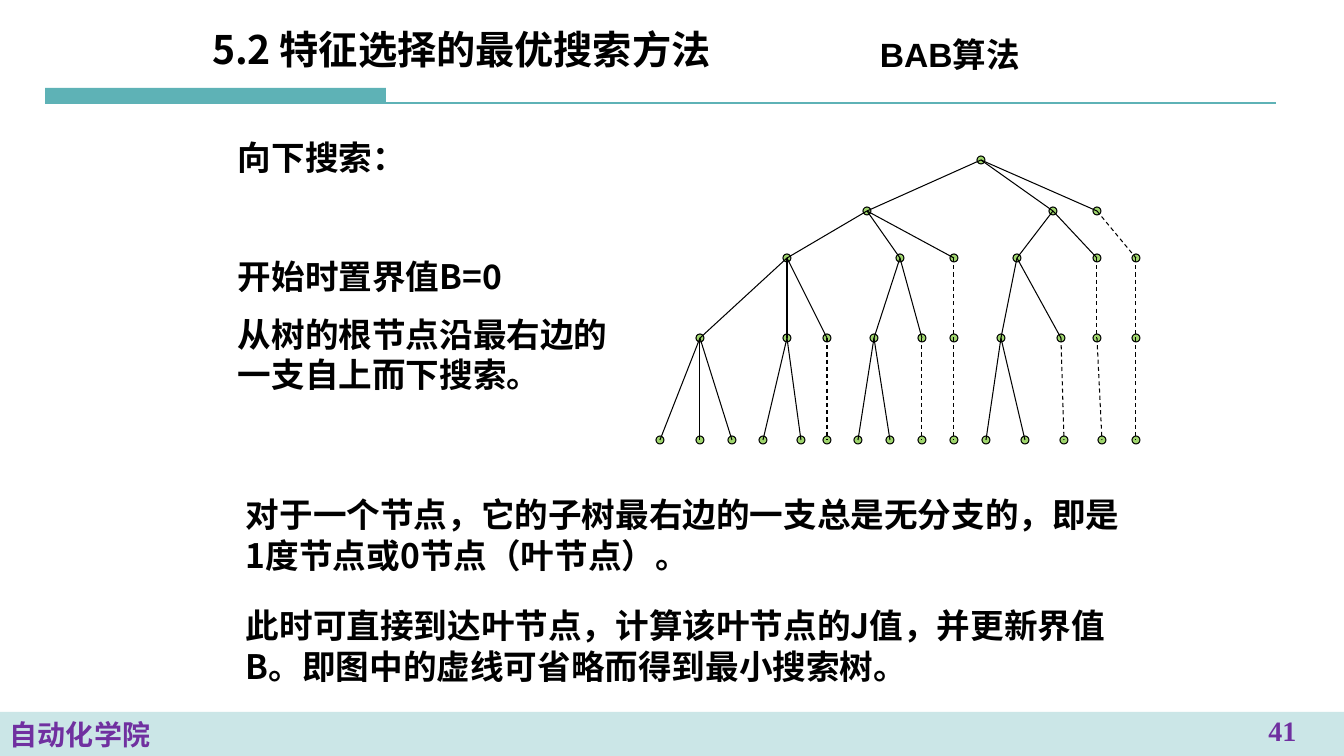
import pptx
import pptx.dml.color
import pptx.enum.dml
import pptx.enum.shapes
import pptx.enum.text
import pptx.oxml.ns
import pptx.util
from lxml import etree

SCALE = 914400 / 100.8  # EMU in one px
HUES = {"teal": "5EB2B6", "green": "9FD56D", "black": "000000", "purple": "7030A0"}
SANS = "Noto Sans CJK SC"
SHAPES = pptx.enum.shapes.MSO_SHAPE
ANCHOR = pptx.enum.text.MSO_ANCHOR
ALIGN = pptx.enum.text.PP_ALIGN

# Node centres, level by level
LEVELS = [
    (160, [981]),
    (211, [867, 1053, 1097]),
    (258, [787, 900, 954, 1017, 1097, 1136]),
    (338, [700, 787, 827, 874, 922, 954, 1001, 1061, 1097, 1136]),
    (440, [660, 700, 732, 763, 801, 827, 858, 890, 922, 954,
           986, 1025, 1064, 1102, 1136]),
]
NODE = 8

NOTES = [
    (228, 132, 428, 50, ["向下搜索："]),
    (228, 251, 420, 152, ["开始时置界值B=0", "从树的根节点沿最右边的一支自上而下搜索。"]),
    (236, 489, 897, 92,
     ["对于一个节点，它的子树最右边的一支总是无分支的，即是1度节点或0节点（叶节点）。"]),
    (236, 600, 913, 92,
     ["此时可直接到达叶节点，计算该叶节点的J值，并更新界值B。"
      "即图中的虚线可省略而得到最小搜索树。"]),
]


def px(*vals):
    return [pptx.util.Emu(round(val * SCALE)) for val in vals]


def rgb(hue):
    return pptx.dml.color.RGBColor.from_string(HUES[hue])


def add_tag(parent, tag, **attrs):
    return etree.SubElement(parent, pptx.oxml.ns.qn(tag), **attrs)


def write(shape, *paras, size=24, font=SANS, hue="black", align=ALIGN.LEFT,
          anchor=ANCHOR.TOP, lead=None, gap=12):
    """Fill a shape with bold paragraphs; lead and gap are in points."""
    frame = shape.text_frame
    frame.word_wrap = True
    frame.auto_size = pptx.enum.text.MSO_AUTO_SIZE.NONE
    frame.vertical_anchor = anchor
    for i, text in enumerate(paras):
        para = frame.add_paragraph() if i else frame.paragraphs[0]
        para.alignment = align
        if lead:
            para.line_spacing = pptx.util.Pt(lead)
        if i:
            para.space_before = pptx.util.Pt(gap)
        run = para.add_run()
        run.text = text
        run.font.size = pptx.util.Pt(size)
        run.font.bold = True
        run.font.color.rgb = rgb(hue)
        run.font.name = font
        add_tag(run.font._element, "a:ea", typeface=SANS)


def add_text(slide, x, y, w, h, *paras, **style):
    write(slide.shapes.add_textbox(*px(x, y, w, h)), *paras, **style)


def add_form(slide, kind, x, y, w, h, hue, edge=None, alpha=None):
    form = slide.shapes.add_shape(kind, *px(x, y, w, h))
    form.shadow.inherit = False
    form.fill.solid()
    form.fill.fore_color.rgb = rgb(hue)
    if alpha:
        fill = form._element.spPr.find(pptx.oxml.ns.qn("a:solidFill"))
        add_tag(fill[0], "a:alpha", val=str(alpha * 1000))
    if edge:
        form.line.color.rgb = rgb(edge)
        form.line.width = pptx.util.Pt(0.75)
    else:
        form.line.fill.background()
    return form


def add_line(slide, start, end, hue="black", width=0.75, dash=False):
    line = slide.shapes.add_connector(
        pptx.enum.shapes.MSO_CONNECTOR.STRAIGHT, *px(*start, *end))
    line.line.color.rgb = rgb(hue)
    line.line.width = pptx.util.Pt(width)
    if dash:
        line.line.dash_style = pptx.enum.dml.MSO_LINE.DASH
    add_tag(line._element.spPr, "a:effectLst")


def add_tree(slide):
    """A node with n children has children with n, n-1, ... 1 of their own."""
    for y, row in LEVELS:
        for x in row:
            add_form(slide, SHAPES.OVAL, x - NODE / 2, y - NODE / 2,
                     NODE, NODE, "green", edge="black")
    fans = [3]
    for (top, row), (low, kids) in zip(LEVELS, LEVELS[1:]):
        left = iter(kids)
        for x, fan in zip(row, fans):
            for _ in range(fan):
                add_line(slide, (x, top), (next(left), low), dash=fan == 1)
        fans = [n for fan in fans for n in range(fan, 0, -1)]


def add_frame(slide):
    add_form(slide, SHAPES.RECTANGLE, 45, 88, 341, 15, "teal")
    add_line(slide, (45, 103), (1276, 103), hue="teal", width=1.5)
    foot = add_form(slide, SHAPES.RECTANGLE, 0, 712, 1344, 44, "teal", alpha=32)
    write(foot, "自动化学院", size=20, font="Arial", hue="purple",
          anchor=ANCHOR.MIDDLE)
    add_text(slide, 1221, 709, 123, 39, "41", size=20, font="Times New Roman",
             hue="purple", align=ALIGN.CENTER)


def add_title(slide):
    title = slide.shapes.title
    title.left, title.top, title.width, title.height = px(202, 17, 680, 63)
    write(title, "5.2 特征选择的最优搜索方法", size=28, anchor=ANCHOR.MIDDLE)
    add_text(slide, 870, 29, 190, 50, "BAB算法", font="Arial", lead=29)


def main():
    deck = pptx.Presentation()
    deck.slide_width, deck.slide_height = px(1344, 756)
    slide = deck.slides.add_slide(deck.slide_layouts[5])
    add_frame(slide)
    add_tree(slide)
    for x, y, w, h, paras in NOTES:
        add_text(slide, x, y, w, h, *paras, lead=29)
    add_title(slide)
    deck.save("out.pptx")


if __name__ == "__main__":
    main()
